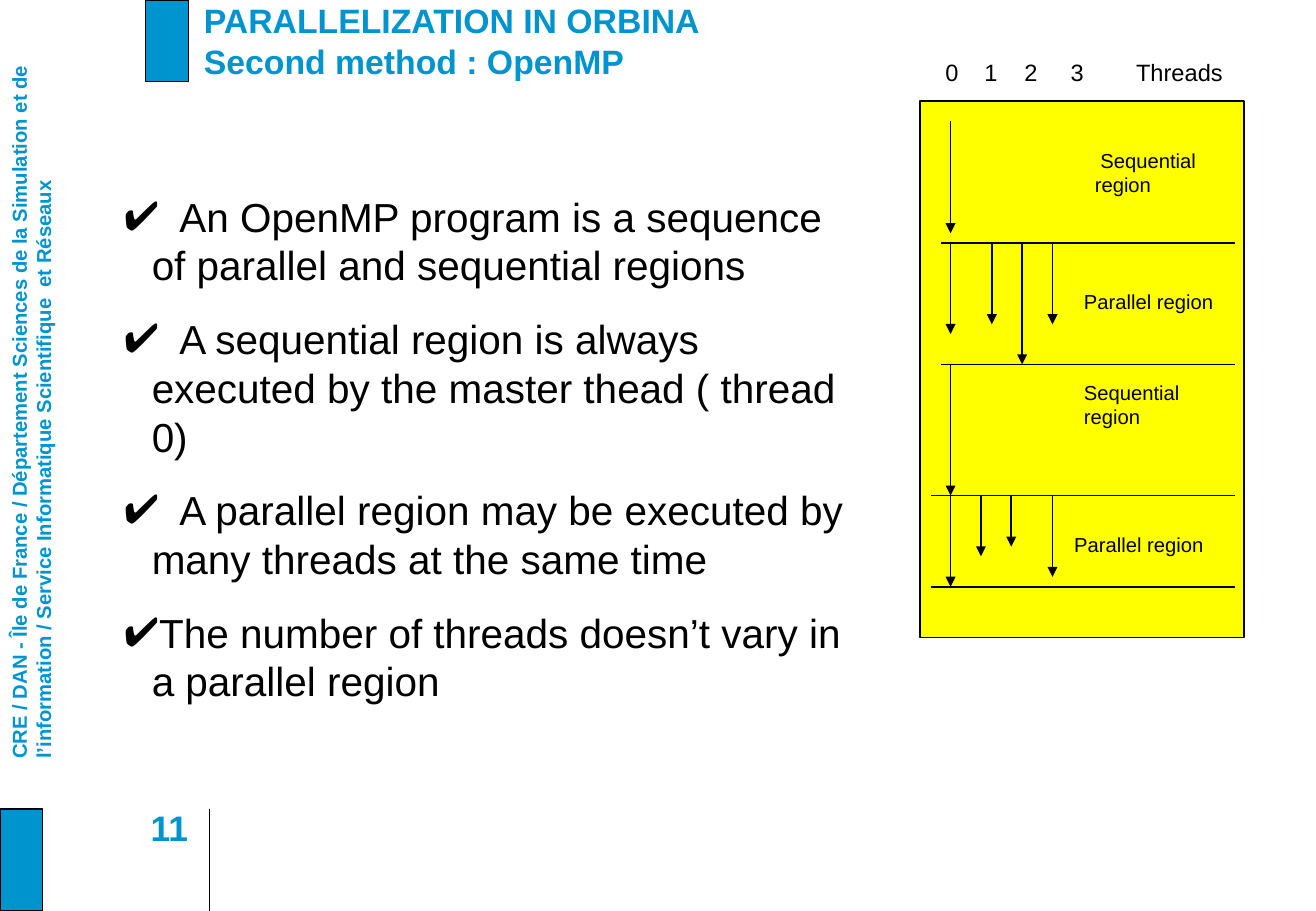
from dataclasses import dataclass

from lxml.etree import SubElement
from pptx import Presentation
from pptx.dml.color import RGBColor
from pptx.enum.shapes import MSO_CONNECTOR as Connector, MSO_SHAPE as Shape
from pptx.enum.text import MSO_ANCHOR as Anchor, MSO_AUTO_SIZE as AutoSize, PP_ALIGN as Align
from pptx.oxml.ns import qn
from pptx.slide import Slide
from pptx.text.text import TextFrame
from pptx.util import Inches, Pt

FONT = "Arial"
COLORS = {"blue": "0094CF", "yellow": "FFFF00", "black": "000000"}


@dataclass
class Block:
    left: float
    top: float
    width: float
    height: float
    fill: str
    line_width: float


@dataclass
class Label:
    text: str
    left: float
    top: float
    width: float
    height: float
    size: float = 12
    color: str = "black"
    bold: bool = False
    margin: bool = True
    align: Align = Align.LEFT
    anchor: Anchor = Anchor.TOP
    rotation: float = 0
    tabs: tuple[float, ...] = ()


@dataclass
class Region:
    """Stretch of the program: where it starts and where each thread ends."""
    top: float
    thread_ends: dict[float, float]


@dataclass
class Barrier:
    left: float
    y: float


BLOCKS = [
    Block(1.2, 0, 0.35, 0.67, "blue", 0.75),
    Block(0, 6.66, 0.35, 0.84, "blue", 0.75),
    Block(7.58, 0.83, 2.67, 4.42, "yellow", 1),
]
MASTER_X = 7.83
REGIONS = [
    Region(1, {MASTER_X: 1.92}),
    Region(2, {MASTER_X: 2.75, 8.17: 2.67, 8.42: 3, 8.67: 2.67}),
    Region(3, {MASTER_X: 4.08}),
    Region(4.08, {MASTER_X: 4.83, 8.08: 4.58, 8.33: 4.5, 8.67: 4.75}),
]
BARRIERS = [Barrier(7.75, 2), Barrier(7.75, 3), Barrier(7.67, 4.08), Barrier(7.67, 4.83)]
BARRIER_RIGHT = 10.17
LABELS = [
    Label("CRE / DAN - Île de France / Département Sciences de la Simulation et de "
          "l’information / Service Informatique Scientifique  et Réseaux",
          -2.71, 3.13, 5.93, 0.5, color="blue", bold=True, anchor=Anchor.MIDDLE, rotation=270),
    Label("Parallel region", 8.83, 2.33, 1.42, 0.3),
    Label("Sequential region", 8.83, 3.08, 1.25, 0.5),
    Label(" Sequential region", 8.92, 1.17, 1.42, 0.5),
    Label("Parallel region", 8.75, 4.33, 1.42, 0.3),
    Label("\t0\t1\t2\t3\tThreads", 7.48, 0.43, 2.76, 0.34, size=14,
          tabs=(0.21, 0.53, 0.86, 1.24, 1.78)),
    Label("11", 1.2, 6.64, 0.35, 0.68, size=21, color="blue", bold=True, margin=False,
          align=Align.RIGHT),
]
TITLE = "PARALLELIZATION IN ORBINA\vSecond method : OpenMP"
BULLETS = [
    "  An OpenMP program is a sequence of parallel and sequential regions",
    "  A sequential region is always executed by the master thead ( thread 0)",
    "  A parallel region may be executed by many threads at the same time",
    "The number of threads doesn’t vary in a parallel region",
]


def rgb(name: str) -> RGBColor:
    return RGBColor.from_string(COLORS[name])


def place(shape, left: float, top: float, width: float, height: float) -> None:
    shape.left, shape.top = Inches(left), Inches(top)
    shape.width, shape.height = Inches(width), Inches(height)


def format_text(frame: TextFrame, size: float, color: str, bold: bool,
                align: Align, anchor: Anchor) -> None:
    frame.word_wrap = True
    frame.auto_size = AutoSize.NONE
    frame.vertical_anchor = anchor
    for paragraph in frame.paragraphs:
        paragraph.alignment = align
        paragraph.space_before = Pt(0)
        for run in paragraph.runs:
            run.font.name, run.font.size, run.font.bold = FONT, Pt(size), bold
            run.font.color.rgb = rgb(color)


def add_block(slide: Slide, block: Block) -> None:
    shape = slide.shapes.add_shape(Shape.RECTANGLE, Inches(block.left), Inches(block.top),
                                   Inches(block.width), Inches(block.height))
    shape.shadow.inherit = False
    shape.fill.solid()
    shape.fill.fore_color.rgb = rgb(block.fill)
    shape.line.color.rgb = rgb("black")
    shape.line.width = Pt(block.line_width)


def add_line(slide: Slide, start: tuple[float, float], end: tuple[float, float],
             width: float = 1, arrow: bool = False) -> None:
    line = slide.shapes.add_connector(Connector.STRAIGHT, Inches(start[0]), Inches(start[1]),
                                      Inches(end[0]), Inches(end[1]))
    line.line.color.rgb = rgb("black")
    line.line.width = Pt(width)
    properties = line._element.spPr
    if arrow:
        SubElement(properties.find(qn("a:ln")), qn("a:tailEnd"), type="triangle")
    SubElement(properties, qn("a:effectLst"))


def add_label(slide: Slide, label: Label) -> None:
    box = slide.shapes.add_textbox(Inches(label.left), Inches(label.top),
                                   Inches(label.width), Inches(label.height))
    box.rotation = label.rotation
    frame = box.text_frame
    frame.text = label.text
    format_text(frame, label.size, label.color, label.bold, label.align, label.anchor)
    if not label.margin:
        frame.margin_left = frame.margin_right = frame.margin_top = frame.margin_bottom = 0
    if label.tabs:
        tab_list = SubElement(frame.paragraphs[0]._p.get_or_add_pPr(), qn("a:tabLst"))
        for position in label.tabs:
            SubElement(tab_list, qn("a:tab"), pos=str(Inches(position)), algn="l")


def fill_title(slide: Slide) -> None:
    title = slide.shapes.title
    place(title, 1.58, 0, 8.33, 0.67)
    title.text_frame.text = TITLE
    format_text(title.text_frame, 20, "blue", True, Align.LEFT, Anchor.MIDDLE)


def fill_body(slide: Slide) -> None:
    body = slide.placeholders[1]
    place(body, 0.92, 1.53, 6.17, 4.33)
    frame = body.text_frame
    frame.text = "\n".join(BULLETS)
    format_text(frame, 24, "black", False, Align.LEFT, Anchor.TOP)
    for index, paragraph in enumerate(frame.paragraphs):
        paragraph.space_before = Pt(15 if index else 0)
        properties = paragraph._p.get_or_add_pPr()
        properties.set("marL", str(Inches(0.23)))
        properties.set("indent", str(-Inches(0.23)))
        bullet_color = SubElement(properties, qn("a:buClr"))
        SubElement(bullet_color, qn("a:srgbClr"), val=COLORS["black"])
        SubElement(properties, qn("a:buFont"), typeface=FONT)
        SubElement(properties, qn("a:buChar"), char="✔")


def main() -> None:
    presentation = Presentation()
    presentation.slide_width, presentation.slide_height = Inches(10.84), Inches(7.5)
    slide = presentation.slides.add_slide(presentation.slide_layouts[1])

    # Title and list
    fill_title(slide)
    fill_body(slide)

    # Page decoration and diagram background
    for block in BLOCKS:
        add_block(slide, block)
    add_line(slide, (1.72, 6.66), (1.72, 7.5), width=0.25)

    # Threads and the barriers between regions
    for region in REGIONS:
        for x, end in region.thread_ends.items():
            add_line(slide, (x, region.top), (x, end), arrow=True)
    for barrier in BARRIERS:
        add_line(slide, (barrier.left, barrier.y), (BARRIER_RIGHT, barrier.y))

    # Captions
    for label in LABELS:
        add_label(slide, label)

    presentation.save("out.pptx")


if __name__ == "__main__":
    main()
